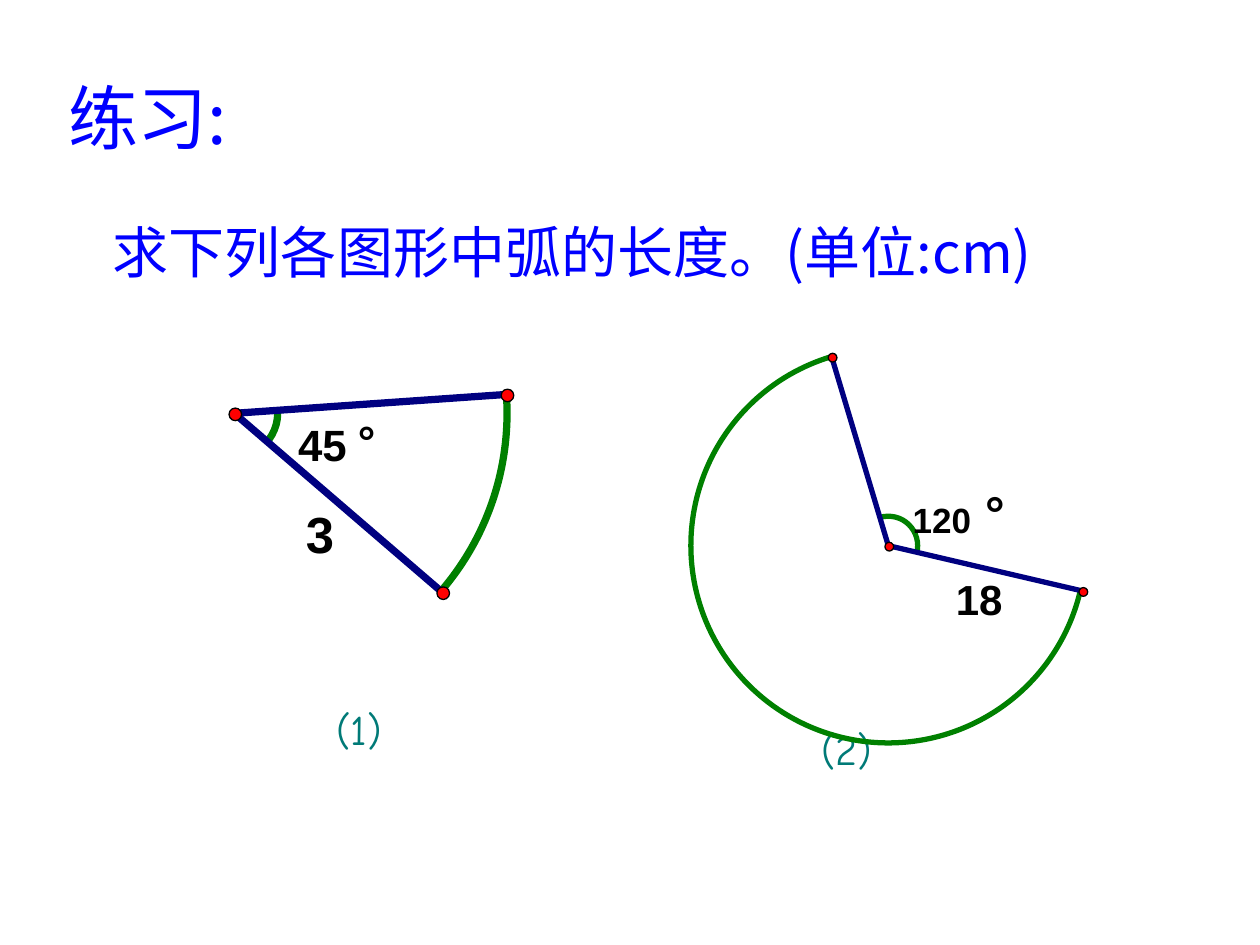
"""Build an exercise slide on arc lengths with two sectors."""
import math
from lxml import etree
from pptx import Presentation
from pptx import util as u
from pptx.dml.color import RGBColor
from pptx.enum import shapes, text
from pptx.oxml import ns

Pt = u.Pt
BLUE = RGBColor(0x00, 0x00, 0xFF)
NAVY = RGBColor(0x00, 0x00, 0x80)
GREEN = RGBColor(0x00, 0x80, 0x00)
TEAL = RGBColor(0x00, 0x7A, 0x77)
RED = RGBColor(0xFF, 0x00, 0x00)
BLACK = RGBColor(0x00, 0x00, 0x00)
CJK, COMIC, ARIAL = "Noto Sans CJK JP", "Comic Neue", "Arial"

deck = Presentation()
deck.slide_width, deck.slide_height = Pt(720), Pt(540)
slide = deck.slides.add_slide(deck.slide_layouts[6])


def write(words, box, size, font=ARIAL, color=BLACK, bold=False, pad=(0, 0)):
    label = slide.shapes.add_textbox(*[Pt(v) for v in box])
    frame = label.text_frame
    frame.word_wrap = False
    frame.auto_size = text.MSO_AUTO_SIZE.SHAPE_TO_FIT_TEXT
    frame.margin_left = frame.margin_right = Pt(pad[0])
    frame.margin_top = frame.margin_bottom = Pt(pad[1])
    para = frame.paragraphs[0]
    para.alignment = text.PP_ALIGN.CENTER
    run = para.add_run()
    run.text = words
    run.font.size, run.font.name, run.font.bold = Pt(size), font, bold
    run.font.color.rgb = color
    east = etree.SubElement(run.font._element, ns.qn("a:ea"))
    east.set("typeface", font)


for words, box, size, font, color in [
    ("练习:", (27.4, 38.9, 114, 55.4), 40, CJK, BLUE),
    ("求下列各图形中弧的长度。(单位:cm)", (45.6, 121, 563, 46), 32, CJK, BLUE),
    ("(1)", (184.3, 398.2, 42, 36), 24, COMIC, TEAL),
    ("(2)", (460.8, 409.7, 46, 36), 24, COMIC, TEAL),
]:
    write(words, box, size, font=font, color=color, pad=(7.2, 3.6))

sectors = [
    dict(hub=(133.9, 236.2), tips=[(289.4, 225.4), (252.7, 338.4)],
         mark=24.8, flip=False, width=4.14, dot=7.2,
         labels=[("3", (173.6, 287.3, 18.4, 34.6), 29),
                 ("45", (169.2, 239, 30, 30.2), 25),
                 ("°", (204.5, 236.2, 6.5, 30.2), 25)]),
    dict(hub=(507.6, 311.8), tips=[(475.2, 203.8), (618.5, 337.7)],
         mark=16.8, flip=True, width=3, dot=5,
         labels=[("18", (544.6, 327.6, 30, 28.8), 24),
                 ("120", (520.2, 285.1, 36, 23.8), 20),
                 ("°", (563, 275.8, 7.2, 33.8), 28)]),
]

for part in sectors:
    x, y = part["hub"]
    turns = [math.degrees(math.atan2(b - y, a - x)) % 360
             for a, b in part["tips"]]
    reach = math.dist(part["hub"], part["tips"][0])
    rim = turns[::-1] if part["flip"] else turns

    for size, ends in [(part["mark"], turns), (reach, rim)]:
        arc = slide.shapes.add_shape(
            shapes.MSO_SHAPE.ARC, Pt(x - size), Pt(y - size),
            Pt(2 * size), Pt(2 * size))
        for i, turn in enumerate(ends):
            arc.adjustments[i] = turn * 0.6
        arc.shadow.inherit = False
        arc.fill.background()
        arc.line.color.rgb = GREEN
        arc.line.width = Pt(part["width"])

    for a, b in part["tips"]:
        side = slide.shapes.add_connector(
            shapes.MSO_CONNECTOR.STRAIGHT, Pt(x), Pt(y), Pt(a), Pt(b))
        side.line.color.rgb = NAVY
        side.line.width = Pt(part["width"])
        etree.SubElement(side._element.spPr, ns.qn("a:effectLst"))

    for words, box, size in part["labels"]:
        write(words, box, size, bold=True)

    dot = part["dot"]
    inset = dot / 2 - 0.6
    for a, b in [part["hub"], *part["tips"]]:
        point = slide.shapes.add_shape(
            shapes.MSO_SHAPE.OVAL, Pt(a - inset), Pt(b - inset),
            Pt(dot), Pt(dot))
        point.shadow.inherit = False
        point.fill.solid()
        point.fill.fore_color.rgb = RED
        point.line.color.rgb = BLACK
        point.line.width = Pt(0)

deck.save("out.pptx")
